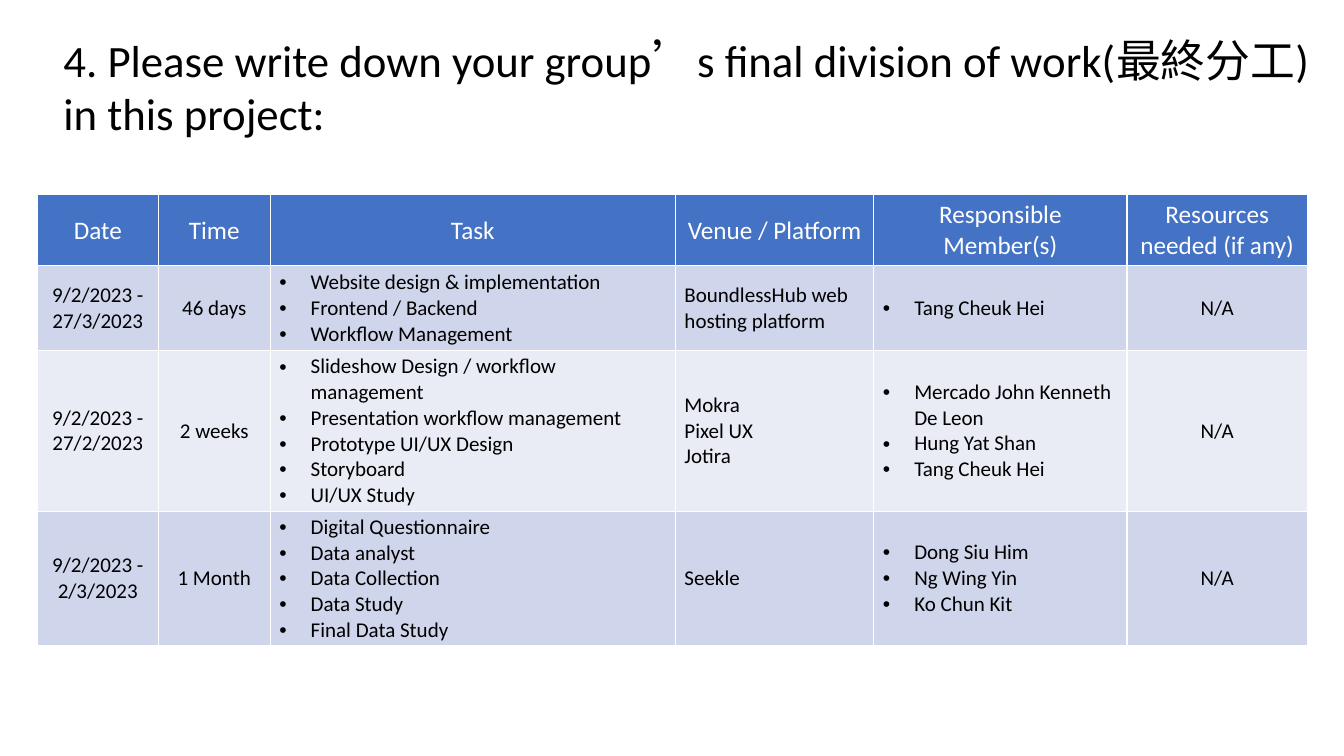
from pptx import Presentation
from pptx.dml.color import RGBColor
from pptx.enum.text import MSO_ANCHOR as Anchor, PP_ALIGN as Align
from pptx.oxml.ns import qn
from pptx.util import Cm, Pt
from lxml.etree import SubElement

FONT = "Calibri"
BLACK, WHITE = "000000", "FFFFFF"
HEADER_FILL = "4472C4"
BAND_FILLS = ["CFD5EA", "E9EBF5"]

TITLE = "4. Please write down your group’s final division of work(最終分工) in this project:"
COLUMNS = {
    "Date": 3.05,
    "Time": 2.82,
    "Task": 10.21,
    "Venue / Platform": 5.0,
    "Responsible Member(s)": 6.38,
    "Resources needed (if any)": 4.55,
}
CENTERED = {"Date", "Time", "Resources needed (if any)"}
BULLETED = {"Task", "Responsible Member(s)"}
ROW_HEIGHTS = [1.79, 2.14, 4.04, 3.38]
WORK = [
    [
        ["9/2/2023 - 27/3/2023"],
        ["46 days"],
        ["Website design & implementation", "Frontend / Backend", "Workflow Management"],
        ["BoundlessHub web hosting platform"],
        ["Tang Cheuk Hei"],
        ["N/A"],
    ],
    [
        ["9/2/2023 - 27/2/2023"],
        ["2 weeks"],
        [
            "Slideshow Design / workflow management",
            "Presentation workflow management",
            "Prototype UI/UX Design",
            "Storyboard",
            "UI/UX Study",
        ],
        ["Mokra", "Pixel UX", "Jotira"],
        ["Mercado John Kenneth De Leon", "Hung Yat Shan", "Tang Cheuk Hei"],
        ["N/A"],
    ],
    [
        ["9/2/2023 - 2/3/2023"],
        ["1 Month"],
        [
            "Digital Questionnaire",
            "Data analyst",
            "Data Collection",
            "Data Study",
            "Final Data Study",
        ],
        ["Seekle"],
        ["Dong Siu Him", "Ng Wing Yin", "Ko Chun Kit"],
        ["N/A"],
    ],
]


def color(value):
    return RGBColor.from_string(value)


def add_bullet(paragraph):
    properties = paragraph._p.get_or_add_pPr()
    indent = Cm(0.79)
    properties.set("marL", str(indent))
    properties.set("indent", str(-indent))
    SubElement(properties, qn("a:buFont")).set("typeface", "Arial")
    SubElement(properties, qn("a:buChar")).set("char", "•")


def write_text(frame, lines, size=15, fill=BLACK, align=Align.LEFT, bullet=False):
    frame.word_wrap = True
    for index, line in enumerate(lines):
        paragraph = frame.paragraphs[0] if index == 0 else frame.add_paragraph()
        paragraph.alignment = align
        if bullet:
            add_bullet(paragraph)
        run = paragraph.add_run()
        run.text = line
        run.font.name = FONT
        run.font.size = Pt(size)
        run.font.bold = False
        run.font.color.rgb = color(fill)


def add_title(slide):
    box = slide.shapes.add_textbox(Cm(1.35), Cm(0.69), Cm(32.1), Cm(3))
    write_text(box.text_frame, [TITLE], size=32)


def fill_cell(cell, lines, background, **text_format):
    cell.fill.solid()
    cell.fill.fore_color.rgb = color(background)
    cell.vertical_anchor = Anchor.MIDDLE
    cell.margin_left = cell.margin_right = Cm(0.23)
    cell.margin_top = cell.margin_bottom = Cm(0.08)
    write_text(cell.text_frame, lines, **text_format)


def add_work_table(slide):
    frame = slide.shapes.add_table(
        len(ROW_HEIGHTS), len(COLUMNS), Cm(0.94), Cm(4.91),
        Cm(sum(COLUMNS.values())), Cm(sum(ROW_HEIGHTS)),
    )
    table = frame.table
    for row, height in zip(table.rows, ROW_HEIGHTS):
        row.height = Cm(height)
    for index, (heading, width) in enumerate(COLUMNS.items()):
        table.columns[index].width = Cm(width)
        fill_cell(table.cell(0, index), [heading], HEADER_FILL,
                  size=18, fill=WHITE, align=Align.CENTER)
        for number, entry in enumerate(WORK):
            fill_cell(
                table.cell(number + 1, index), entry[index], BAND_FILLS[number % 2],
                align=Align.CENTER if heading in CENTERED else Align.LEFT,
                bullet=heading in BULLETED,
            )


def main():
    presentation = Presentation()
    presentation.slide_width = Cm(33.87)
    presentation.slide_height = Cm(19.05)
    slide = presentation.slides.add_slide(presentation.slide_layouts[6])
    add_title(slide)
    add_work_table(slide)
    presentation.save("out.pptx")


if __name__ == "__main__":
    main()
